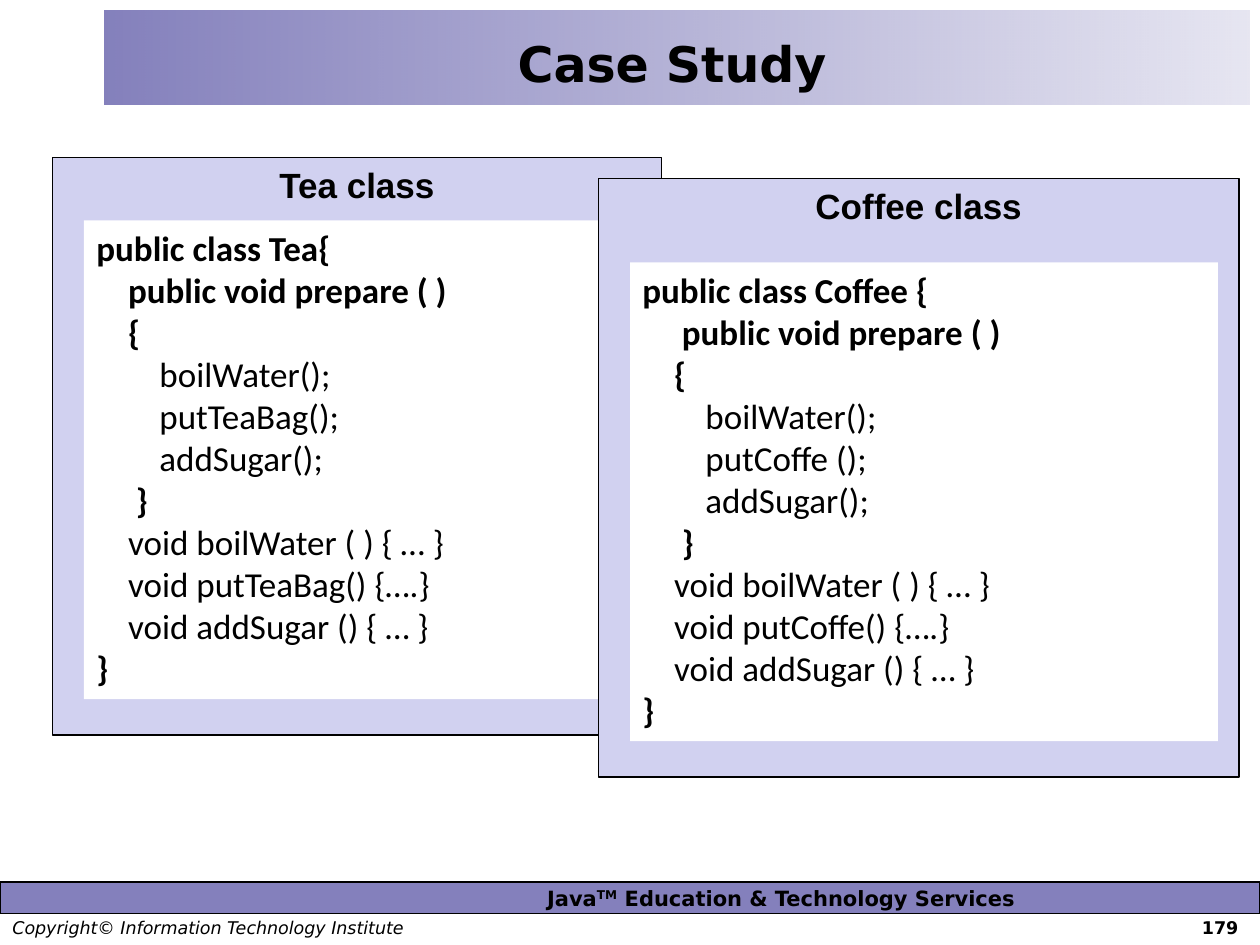
import pptx
import pptx.util
import pptx.dml.color
import pptx.enum.shapes
import pptx.enum.text
import pptx.oxml
import pptx.oxml.ns

Inches, Pt = pptx.util.Inches, pptx.util.Pt
Align, Anchor = pptx.enum.text.PP_ALIGN, pptx.enum.text.MSO_ANCHOR
qn = pptx.oxml.ns.qn
rgb = pptx.dml.color.RGBColor.from_string

theme = {
    "ink": rgb("000000"), "paper": rgb("FFFFFF"),
    "violet": rgb("5B56A6"), "lilac": rgb("D1D1F0"),
    "main": "DejaVu Sans", "head": "Arial", "code": "Calibri",
    "title": Pt(28), "body": Pt(20), "bar": Pt(12), "foot": Pt(10),
}

deck = pptx.Presentation()
deck.slide_width, deck.slide_height = Inches(10), Inches(7.5)
slide = deck.slides.add_slide(deck.slide_layouts[5])
unit = deck.slide_width // 120  # the slide is a grid of 120 columns by 90 rows


def style(para, face, size, bold=None, italic=None):
    font = para.font
    font.name, font.size = theme[face], theme[size]
    font.bold, font.italic = bold, italic
    font.color.rgb = theme["ink"]


def block(col, row, wide, high, fill=None, edge=False):
    kind = pptx.enum.shapes.MSO_SHAPE.RECTANGLE
    box = slide.shapes.add_shape(kind, *[int(n * unit) for n in (col, row, wide, high)])
    box.shadow.inherit = False
    if fill:
        box.fill.solid()
        box.fill.fore_color.rgb = theme[fill]
    if edge:
        box.line.color.rgb = theme["ink"]
        box.line.width = Pt(0.75)
    else:
        box.line.fill.background()
    box.text_frame.vertical_anchor = Anchor.TOP
    return box


# Footer bar
bar = block(0, 84, 120, 3, "violet", edge=True)
frame = bar.text_frame
frame.vertical_anchor = Anchor.MIDDLE
frame.margin_left, frame.margin_right = Inches(2.4), 0
para = frame.paragraphs[0]
para.alignment = Align.CENTER
for text in ("Java", "TM", " Education & Technology Services"):
    run = para.add_run()
    run.text = text
    if text == "TM":
        run.font._element.set("baseline", "30000")
style(para, "main", "bar", bold=True)

# Copyright line, with the page number at a right tab
foot = slide.shapes.add_textbox(0, Inches(7.23), deck.slide_width, Inches(0.27))
foot.text_frame.word_wrap = True
para = foot.text_frame.paragraphs[0]
tabs = pptx.oxml.parse_xml(
    f'<a:tabLst {pptx.oxml.ns.nsdecls("a")}><a:tab pos="{Inches(9.73)}" algn="r"/></a:tabLst>')
para._p.get_or_add_pPr().append(tabs)
style(para, "main", "foot", italic=True)
para.add_run().text = "Copyright© Information Technology Institute\t"
page = para.add_run()
page.text = "179"
page.font.bold, page.font.italic = True, False

# Title on its fading band
title = slide.shapes.title
title.left, title.top, title.width, title.height = [unit * n for n in (10, 2, 108, 8)]
title.text_frame.text = "Case Study"
title.text_frame.vertical_anchor = Anchor.MIDDLE
para = title.text_frame.paragraphs[0]
para.alignment = Align.CENTER
style(para, "main", "title", bold=True)

band = block(10, 1, 109, 9)
band.fill.gradient()
band.fill.gradient_angle = 0
for stop, place in zip(band.fill.gradient_stops, (0, 1)):
    stop.color.rgb = theme["violet"]
    stop.position = place
title.element.addprevious(bar.element)
title.element.addprevious(foot.element)
title.element.addprevious(band.element)

# Opacity of the violet fills
for box, shares in ((bar, [75]), (band, [75, 15])):
    for color, share in zip(box.element.spPr.iter(qn("a:srgbClr")), shares):
        color.append(pptx.oxml.parse_xml(
            f'<a:alpha {pptx.oxml.ns.nsdecls("a")} val="{share * 1000}"/>'))

# Class cards: heading, card box, code box, code
tea = """public class Tea{
    public void prepare ( )
    {
\tboilWater();
\tputTeaBag();
\taddSugar();
     }
    void boilWater ( ) { … }
    void putTeaBag() {….}
    void addSugar () { … }
}"""
coffee = """public class Coffee {
     public void prepare ( )
    {
\tboilWater();
\tputCoffe ();
\taddSugar();
     }
    void boilWater ( ) { … }
    void putCoffe() {….}
    void addSugar () { … }
}"""
cards = (
    ("Tea class", (5, 15, 58, 55), (8, 21, 52, 45.6), tea),
    ("Coffee class", (57, 17, 61, 57), (60, 25, 56, 45.6), coffee),
)
for name, outer, inner, code in cards:
    card = block(*outer, "lilac", edge=True)
    para = card.text_frame.paragraphs[0]
    para.text = name
    para.alignment = Align.CENTER
    style(para, "head", "body", bold=True)

    frame = block(*inner, "paper").text_frame
    frame.auto_size = pptx.enum.text.MSO_AUTO_SIZE.SHAPE_TO_FIT_TEXT
    frame.text = code
    for para in frame.paragraphs:
        para.alignment = Align.LEFT
        plain = para.text.startswith(("\t", "    void"))
        style(para, "code", "body", bold=not plain)

deck.save("out.pptx")
